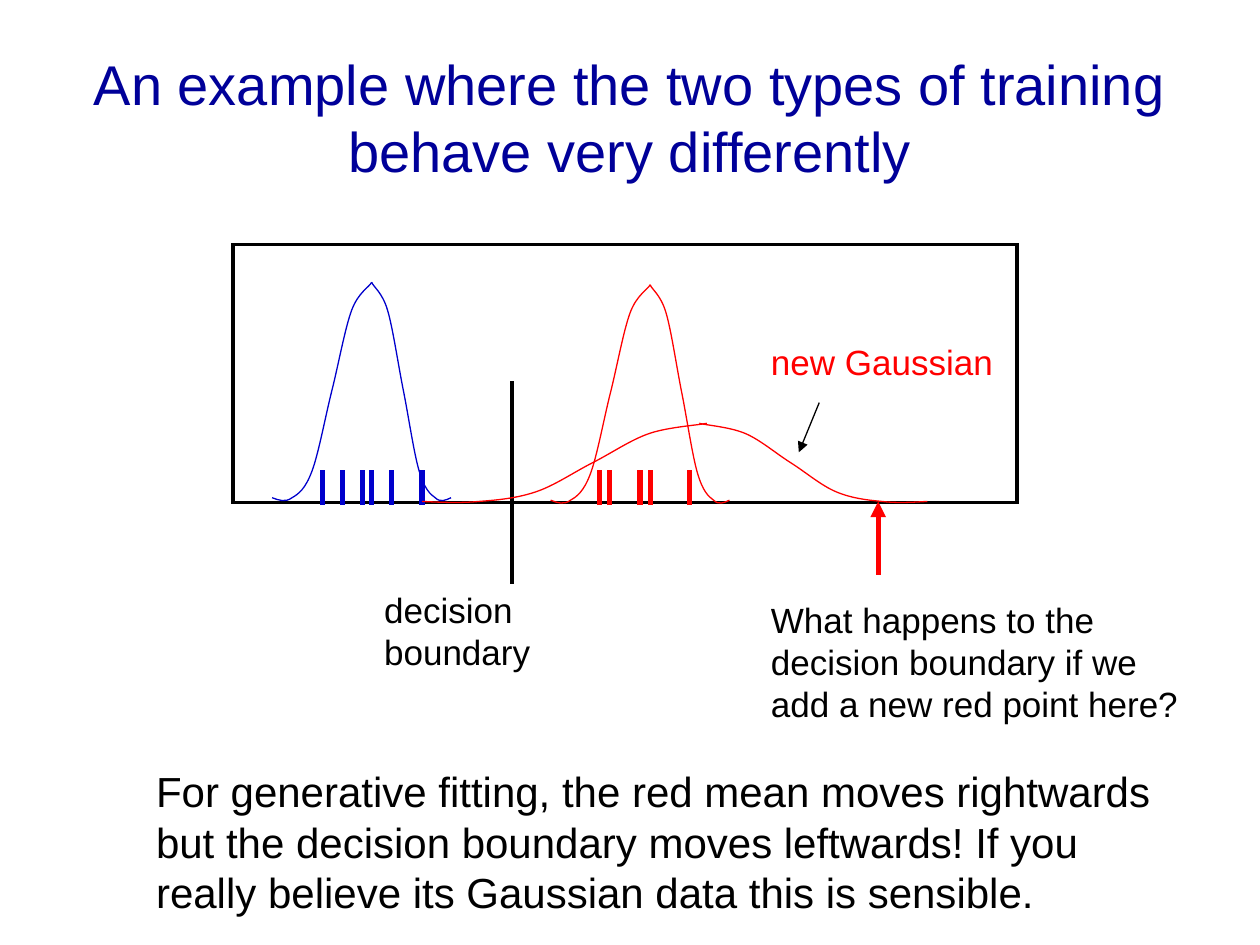
from lxml import etree
from pptx import Presentation
from pptx.dml.color import RGBColor
from pptx.enum.shapes import MSO_CONNECTOR, MSO_SHAPE
from pptx.enum.text import MSO_ANCHOR, MSO_AUTO_SIZE, PP_ALIGN
from pptx.oxml.ns import qn
from pptx.util import Emu, Pt

NAVY = RGBColor(0x00, 0x00, 0x99)
BLUE = RGBColor(0x00, 0x00, 0xCC)
RED = RGBColor(0xFF, 0x00, 0x00)
BLACK = RGBColor(0x00, 0x00, 0x00)

EMU_PER_PX = 9144  # 100 px to the inch
FONT = "Arial"

# Control points of half a bell, five joined cubic curves: x from foot
# to peak, y as the drop below the peak.
BELL_X = [*range(14), 14.6, 15]
BELL_DROP = [171, 173, 175, 171, 168, 164, 150, 136,
             107, 86, 65, 36, 22, 8, 4, 0]


def px(length):
    return Emu(round(length * EMU_PER_PX))


def bend(curve):
    """Turn each three straight segments of a freeform into one cubic curve."""
    segments = list(curve._element.iter(qn("a:lnTo")))
    for start in range(0, len(segments), 3):
        first, *others = segments[start:start + 3]
        first.tag = qn("a:cubicBezTo")
        for segment in others:
            first.append(segment[0])
            segment.getparent().remove(segment)


class Slide:
    def __init__(self, page):
        self.shapes = page.shapes

    def stroke(self, item, color, weight):
        item.line.color.rgb = color
        item.line.width = Pt(weight)
        return item.line._get_or_add_ln()

    def text(self, left, top, width, height, words, size, color=BLACK,
             before=12.5):
        box = self.shapes.add_textbox(*map(px, (left, top, width, height)))
        frame = box.text_frame
        frame.text = words
        frame.word_wrap = True
        frame.auto_size = MSO_AUTO_SIZE.SHAPE_TO_FIT_TEXT
        para = frame.paragraphs[0]
        para.space_before = Pt(before)
        font = para.runs[0].font
        font.name, font.size, font.color.rgb = FONT, Pt(size), color
        return frame

    def title(self, left, top, width, height, words):
        frame = self.text(left, top, width, height, words, 32, NAVY, 0)
        frame.auto_size = MSO_AUTO_SIZE.NONE
        frame.vertical_anchor = MSO_ANCHOR.MIDDLE
        frame.paragraphs[0].alignment = PP_ALIGN.CENTER

    def frame(self, left, top, width, height):
        box = self.shapes.add_shape(
            MSO_SHAPE.RECTANGLE, *map(px, (left, top, width, height)))
        box.shadow.inherit = False
        box.fill.background()
        outline = self.stroke(box, BLACK, 2)
        etree.SubElement(outline, qn("a:miter"), lim="800000")

    def line(self, x1, y1, x2, y2, color, weight, arrow=False):
        line = self.shapes.add_connector(
            MSO_CONNECTOR.STRAIGHT, *map(px, (x1, y1, x2, y2)))
        outline = self.stroke(line, color, weight)
        outline.set("cap", "sq")
        if arrow:
            etree.SubElement(outline, qn("a:tailEnd"), type="triangle")
        etree.SubElement(line._element.spPr, qn("a:effectLst"))

    def ticks(self, places, color):
        for x in places:
            self.line(x, 375, x, 399, color, 3)

    def half_bell(self, foot, base, peak, top, color):
        points = [(px(foot + (peak - foot) * x / BELL_X[-1]),
                   px(top + (base - top) * drop / BELL_DROP[0]))
                  for x, drop in zip(BELL_X, BELL_DROP)]
        builder = self.shapes.build_freeform(*points[0], scale=1.0)
        builder.add_line_segments(points[1:], close=False)
        curve = builder.convert_to_shape()
        bend(curve)
        curve.shadow.inherit = False
        curve.fill.background()
        self.stroke(curve, color, 0.75)


def main():
    deck = Presentation()
    deck.slide_width, deck.slide_height = px(1000), px(750)
    slide = Slide(deck.slides.add_slide(deck.slide_layouts[6]))

    slide.title(50, 30, 900, 125,
                "An example where the two types of training "
                "behave very differently")
    slide.frame(185, 194, 622, 205)
    slide.ticks((256, 272, 295, 288, 311, 335), BLUE)
    slide.ticks((484, 476, 516, 508, 547), RED)

    slide.line(406, 304, 406, 462, BLACK, 2.25)
    slide.text(295, 462, 142, 77, "decision boundary", 20)
    slide.line(697, 454, 697, 398, RED, 3, arrow=True)
    slide.text(602, 470, 354, 110,
               "What happens to the decision boundary if we "
               "add a new red point here?", 20)

    for foot, base, peak, top, color in (
            (216, 395, 295, 224, BLUE), (358, 395, 295, 224, BLUE),
            (437, 397, 516, 226, RED), (579, 397, 516, 226, RED),
            (335, 398, 561, 336, RED), (736, 398, 555, 336, RED)):
        slide.half_bell(foot, base, peak, top, color)

    slide.text(602, 265, 197, 44, "new Gaussian", 20, RED)
    slide.line(650, 320, 634, 359, BLACK, 0.75, arrow=True)
    slide.text(114, 603, 819, 130,
               "For generative fitting, the red mean moves rightwards but the "
               "decision boundary moves leftwards! If you really believe its "
               "Gaussian data this is sensible.", 24, before=15)
    deck.save("out.pptx")


if __name__ == "__main__":
    main()
